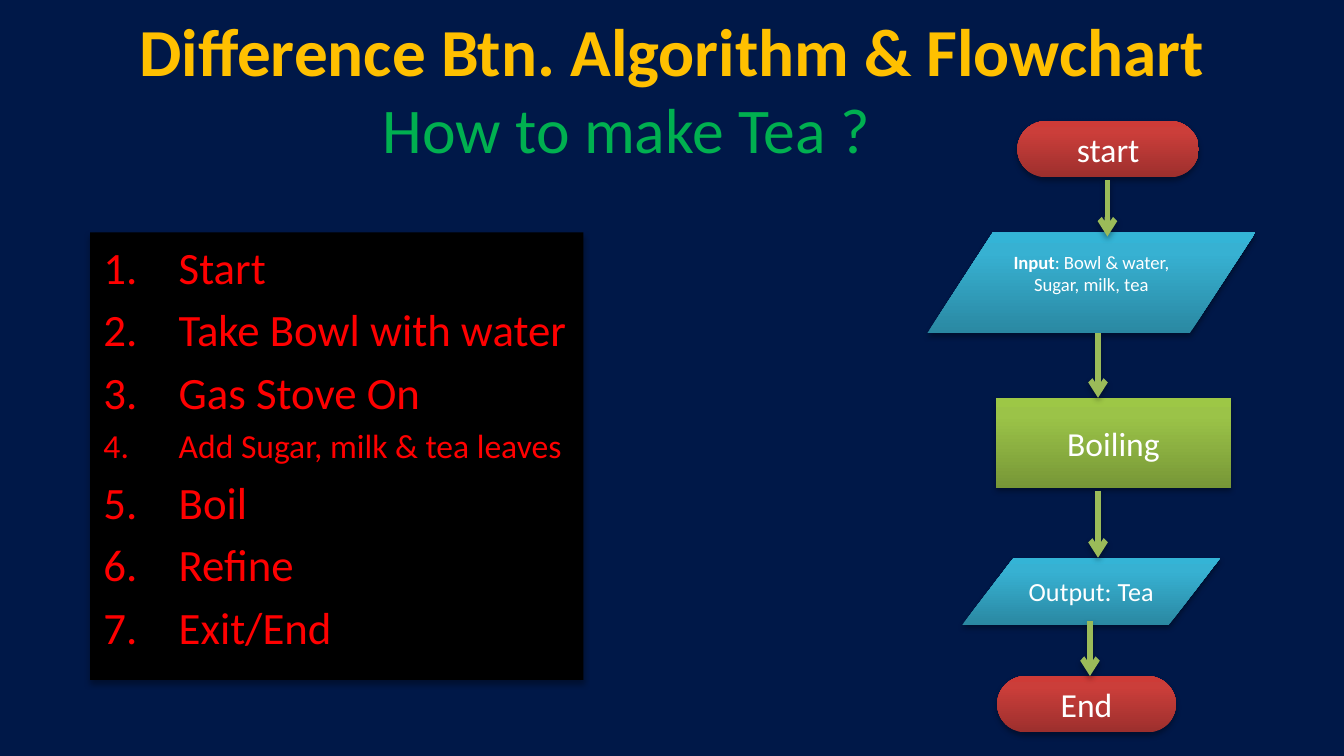
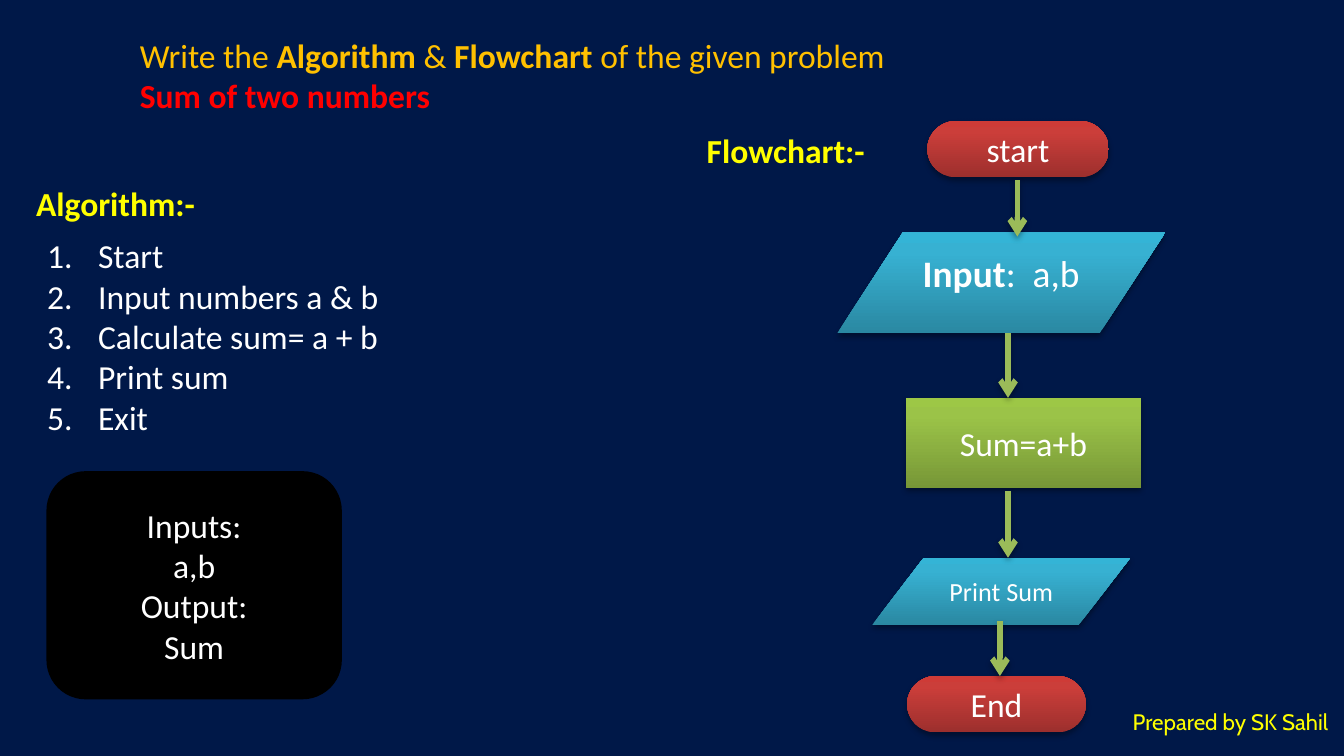
from copy import deepcopy
from dataclasses import dataclass

from lxml import etree
from pptx import Presentation
from pptx.dml.color import RGBColor
from pptx.enum.shapes import MSO_CONNECTOR, MSO_SHAPE
from pptx.enum.text import MSO_ANCHOR, MSO_AUTO_SIZE, PP_ALIGN
from pptx.oxml.ns import qn
from pptx.util import Emu, Inches, Pt

TERMINATOR = MSO_SHAPE.FLOWCHART_TERMINATOR
DATA = MSO_SHAPE.FLOWCHART_DATA
PROCESS = MSO_SHAPE.FLOWCHART_PROCESS
ROUNDED = MSO_SHAPE.ROUNDED_RECTANGLE
STRAIGHT = MSO_CONNECTOR.STRAIGHT
LEFT, CENTER = PP_ALIGN.LEFT, PP_ALIGN.CENTER
TOP, MIDDLE = MSO_ANCHOR.TOP, MSO_ANCHOR.MIDDLE

SLIDE_WIDTH = 10
SLIDE_HEIGHT = SLIDE_WIDTH * 9 / 16


@dataclass(frozen=True)
class Theme:
    font: str = "Calibri"
    credit_font: str = "Cabin"
    background: str = "001848"
    panel: str = "000000"
    white: str = "FFFFFF"
    gold: str = "FFC000"
    yellow: str = "FFFF00"
    green: str = "00B050"
    red: str = "FF0000"
    arrow: str = "9BBB59"
    title: float = 36
    subtitle: float = 34.1
    large: float = 24
    body: float = 18
    label: float = 14
    credit: float = 12
    arrow_width: float = 3
    panel_line: float = 2


THEME = Theme()

# Gradients run from the bottom edge (0) to the top edge (1).
GRADIENTS = {
    TERMINATOR: ((0, "9C2F2D"), (0.8, "CB3E3A"), (1, "CE3B37")),
    DATA: ((0, "2A88A2"), (0.8, "37B1D2"), (1, "34B4D6")),
    PROCESS: ((0, "779737"), (0.8, "9BC348"), (1, "9DC746")),
}

# A text is a list of paragraphs, a paragraph a list of (words, changes) runs.
TEA_TITLE = [[("Difference Btn. Algorithm & Flowchart", {"bold": True})]]
TEA_SUBTITLE = [[("How to make Tea ?", {})]]
TEA_STEPS = [
    [("Start", {})],
    [("Take Bowl with water", {})],
    [("Gas Stove On", {})],
    [("Add Sugar, milk & tea leaves", {"size": THEME.body})],
    [("Boil", {})],
    [("Refine", {})],
    [("Exit/End", {})],
]
TEA_FLOW = [
    ([("start", {})], THEME.body),
    ([("Input", {"bold": True}), (": Bowl & water, Sugar, milk, tea", {})], 10),
    ([("Boiling", {})], THEME.body),
    ([("Output: Tea", {})], THEME.label),
    ([("End", {})], THEME.body),
]

SUM_TITLE = [
    [("Write the ", {}), ("Algorithm", {"bold": True}), (" & ", {}),
     ("Flowchart", {"bold": True}), (" of the given problem", {})],
    [("Sum of two numbers", {"bold": True, "color": THEME.red})],
]
SUM_STEPS = [
    [(step, {})] for step in
    ("Start", "Input numbers a & b", "Calculate sum= a + b", "Print sum", "Exit")
]
SUM_FLOW = [
    ([("start", {})], THEME.body),
    ([("Input", {"bold": True}), (":  a,b", {})], 20),
    ([("Sum=a+b", {})], THEME.body),
    ([("Print Sum", {})], THEME.label),
    ([("End", {})], THEME.body),
]
SUM_HEADINGS = [("Algorithm:-", 0.17, 1.31), ("Flowchart:-", 5.16, 0.92)]
SUM_SUMMARY = [[(line, {})] for line in ("Inputs:", "a,b", "Output:", "Sum")]
CREDIT = [[("Prepared by SK Sahil", {})]]

# Flowchart geometry in inches; x is measured from the chart's left edge.
FLOW_NODES = [  # preset, x, top, width, height, extra bottom inset
    (TERMINATOR, 0.67, 0.9, 1.35, 0.42, 0),
    (DATA, 0, 1.73, 2.44, 0.75, 0.15),
    (PROCESS, 0.51, 2.96, 1.75, 0.67, 0),
    (DATA, 0.26, 4.15, 1.92, 0.5, 0),
    (TERMINATOR, 0.52, 5.03, 1.33, 0.42, 0),
]
FLOW_ARROWS = [(1.34, 1.34, 1.76), (1.27, 2.48, 2.96),
               (1.27, 3.65, 4.15), (1.21, 4.62, 5.03)]  # x, top, bottom


def rgb(color):
    return RGBColor.from_string(color)


def place(shape, box):
    shape.left, shape.top, shape.width, shape.height = map(Inches, box)


def cast_shadow(shape):
    """Add the soft downward shadow; call it after fill and line are set."""
    effects = etree.SubElement(shape.element.spPr, qn("a:effectLst"))
    shadow = etree.SubElement(
        effects, qn("a:outerShdw"), blurRad=str(Pt(3.1)), dist=str(Pt(1.8)),
        dir="5400000", rotWithShape="0")
    color = etree.SubElement(shadow, qn("a:srgbClr"), val="000000")
    etree.SubElement(color, qn("a:alpha"), val="35000")


def fill_solid(shape, color):
    shape.fill.solid()
    shape.fill.fore_color.rgb = rgb(color)


def fill_gradient(shape, colors):
    shape.fill.gradient()
    shape.fill.gradient_angle = 90
    stop_list = next(shape.element.spPr.iter(qn("a:gsLst")))
    while len(stop_list) < len(colors):
        stop_list.append(deepcopy(stop_list[0]))
    for stop, (position, color) in zip(shape.fill.gradient_stops, colors):
        stop.position = position
        stop.color.rgb = rgb(color)


def write(shape, paragraphs, size, color, font=THEME.font, align=LEFT,
          anchor=TOP, wrap=True):
    frame = shape.text_frame
    frame.auto_size = MSO_AUTO_SIZE.NONE
    frame.word_wrap = wrap
    frame.vertical_anchor = anchor
    for index, runs in enumerate(paragraphs):
        paragraph = frame.add_paragraph() if index else frame.paragraphs[0]
        paragraph.alignment = align
        for words, changes in runs:
            run = paragraph.add_run()
            run.text = words
            run.font.name = font
            run.font.size = Pt(changes.get("size", size))
            run.font.bold = changes.get("bold", False)
            run.font.color.rgb = rgb(changes.get("color", color))


def number_paragraphs(shape, indent, space_before=None):
    """Number the lines; without space_before the template's spacing stays."""
    for paragraph in shape.text_frame.paragraphs:
        if space_before is not None:
            paragraph.space_before = Pt(space_before)
        properties = paragraph._p.get_or_add_pPr()
        properties.set("marL", str(Inches(indent)))
        properties.set("indent", str(-Inches(indent)))
        etree.SubElement(properties, qn("a:buFont"), typeface="+mj-lt")
        etree.SubElement(properties, qn("a:buAutoNum"), type="arabicPeriod")


def add_text(slide, box, paragraphs, size, color, **options):
    shape = slide.shapes.add_textbox(*map(Inches, box))
    write(shape, paragraphs, size, color, **options)


def add_arrow(slide, x, top, bottom):
    arrow = slide.shapes.add_connector(
        STRAIGHT, Inches(x), Inches(top), Inches(x), Inches(bottom))
    arrow.line.color.rgb = rgb(THEME.arrow)
    arrow.line.width = Pt(THEME.arrow_width)
    line = arrow.element.spPr.find(qn("a:ln"))
    etree.SubElement(line, qn("a:tailEnd"), type="arrow")
    cast_shadow(arrow)


def add_flowchart(slide, left, labels):
    for node, (runs, size) in zip(FLOW_NODES, labels):
        preset, x, top, width, height, lift = node
        shape = slide.shapes.add_shape(
            preset, *map(Inches, (left + x, top, width, height)))
        fill_gradient(shape, GRADIENTS[preset])
        shape.line.fill.background()
        cast_shadow(shape)
        write(shape, [runs], size, THEME.white, align=CENTER, anchor=MIDDLE)
        if lift:
            frame = shape.text_frame
            frame.margin_bottom = Emu(frame.margin_bottom + Inches(lift))
    for x, top, bottom in FLOW_ARROWS:
        add_arrow(slide, left + x, top, bottom)


def add_slide(presentation):
    """Return a new slide with its title and body placeholders."""
    slide = presentation.slides.add_slide(presentation.slide_layouts[1])
    slide.background.fill.solid()
    slide.background.fill.fore_color.rgb = rgb(THEME.background)
    return slide, slide.shapes.title, slide.placeholders[1]


def build_tea_slide(presentation):
    slide, title, steps = add_slide(presentation)
    place(title, (0.5, -0.1, 9, 0.94))
    write(title, TEA_TITLE, THEME.title, THEME.gold, align=CENTER, anchor=MIDDLE)
    place(steps, (0.67, 1.73, 3.67, 3.33))
    fill_solid(steps, THEME.panel)
    cast_shadow(steps)
    write(steps, TEA_STEPS, THEME.large, THEME.red)
    number_paragraphs(steps, 0.56)
    add_text(slide, (2.75, 0.48, 3.9, 0.94), TEA_SUBTITLE, THEME.subtitle,
             THEME.green, anchor=MIDDLE)
    add_flowchart(slide, 6.9, TEA_FLOW)


def build_sum_slide(presentation):
    slide, title, steps = add_slide(presentation)
    place(title, (0.94, 0.21, 5.76, 0.71))
    write(title, SUM_TITLE, THEME.body, THEME.gold, wrap=False)
    place(steps, (0.25, 1.7, 2.69, 1.62))
    write(steps, SUM_STEPS, THEME.body, THEME.white, wrap=False)
    number_paragraphs(steps, 0.38, space_before=0)
    for heading, left, top in SUM_HEADINGS:
        add_text(slide, (left, top, 1.39, 0.4), [[(heading, {"bold": True})]],
                 THEME.body, THEME.yellow, wrap=False)
    add_text(slide, (8.33, 5.22, 1.67, 0.3), CREDIT, THEME.credit,
             THEME.yellow, font=THEME.credit_font, wrap=False)
    add_flowchart(slide, 6.23, SUM_FLOW)

    summary = slide.shapes.add_shape(
        ROUNDED, *map(Inches, (0.36, 3.52, 2.17, 1.67)))
    summary.shadow.inherit = False
    fill_solid(summary, THEME.panel)
    summary.line.color.rgb = rgb(THEME.panel)
    summary.line.width = Pt(THEME.panel_line)
    write(summary, SUM_SUMMARY, THEME.body, THEME.white, align=CENTER,
          anchor=MIDDLE)


def main():
    presentation = Presentation()
    presentation.slide_width = Inches(SLIDE_WIDTH)
    presentation.slide_height = Inches(SLIDE_HEIGHT)
    build_tea_slide(presentation)
    build_sum_slide(presentation)
    presentation.save("out.pptx")


if __name__ == "__main__":
    main()
